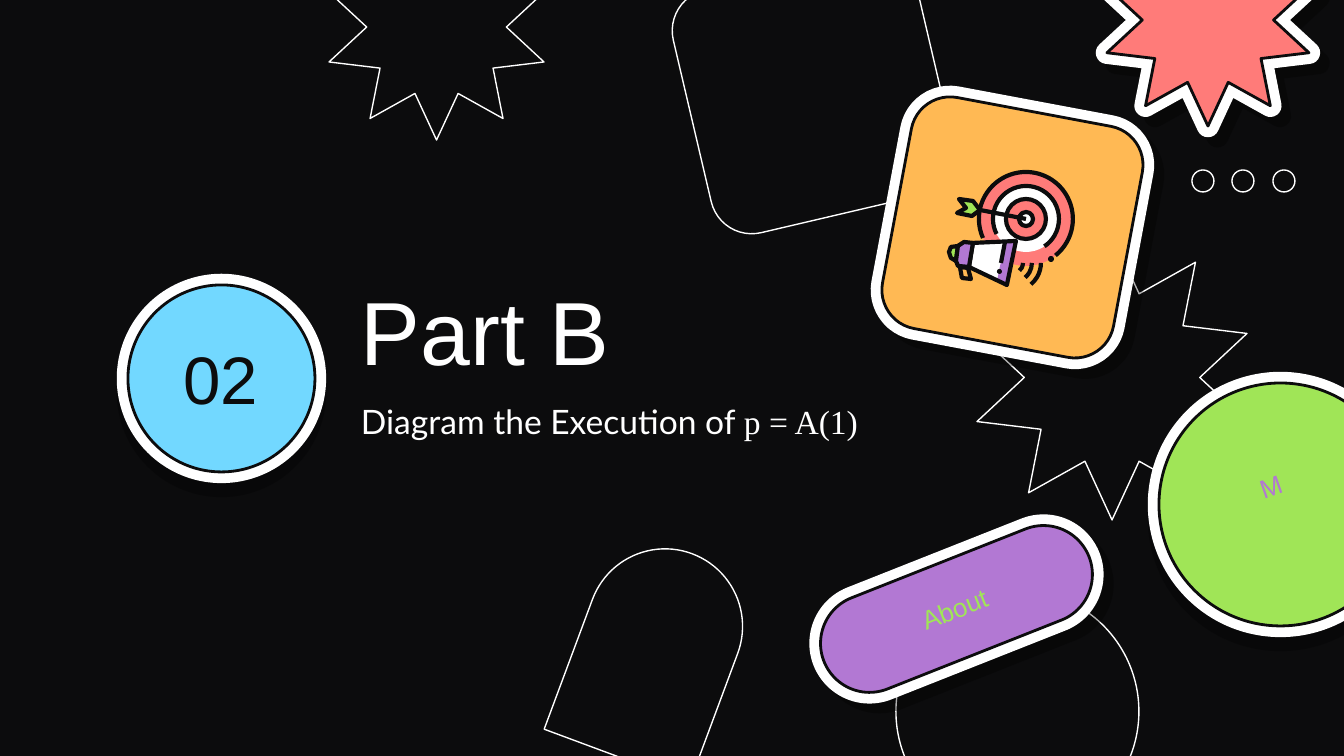
from lxml import etree
from pptx import Presentation
from pptx import util as u
from pptx.dml.color import RGBColor
from pptx.enum import shapes, text
from pptx.oxml.ns import qn

PX = 914400 / 134.4
THEME = {
    "ink": "0C0C0D", "white": "FFFFFF", "blue": "72D8FF", "green": "A0E557",
    "purple": "B278D3", "red": "FF7B79", "orange": "FFB954",
    "title": 48, "number": 36, "subtitle": 18, "label": 14,
    "hair": 0.75, "edge": 1.5, "stroke": 2.25, "border": 12,
    "sans": "Arial", "body": "Lato", "code": "Times New Roman",
}
M = shapes.MSO_SHAPE
STAR = (0.309, 1.05146)


def color(name):
    return RGBColor.from_string(THEME[name])


def style(sp, fill, line, width="hair", rot=0, adj=()):
    sp.shadow.inherit = False
    sp.rotation = rot
    for i, value in enumerate(adj):
        sp.adjustments[i] = value
    if fill:
        sp.fill.solid()
        sp.fill.fore_color.rgb = color(fill)
    else:
        sp.fill.background()
    if line:
        sp.line.color.rgb = color(line)
        sp.line.width = u.Pt(THEME[width])
    else:
        sp.line.fill.background()
    return sp


prs = Presentation()
prs.slide_width, prs.slide_height = int(1344 * PX), int(756 * PX)
s = prs.slides.add_slide(prs.slide_layouts[6])
s.background.fill.solid()
s.background.fill.fore_color.rgb = color("ink")

outlines = [
    (M.STAR_10_POINT, (977, 235, 270, 285), 180, STAR),
    (M.OVAL, (896, 590, 243, 243), 0, ()),
    (M.ROUNDED_RECTANGLE, (689, -32, 249, 249), 166.8, (0.167,)),
    (M.ROUND_2_SAME_RECTANGLE, (577, 547, 155, 216), 20.4, (0.5, 0)),
    (M.STAR_10_POINT, (329, -86, 215, 226), 180, STAR),
]
outlines += [(M.OVAL, (1192 + i * 81 // 2, 170, 22, 22), 0, ()) for i in range(3)]
for kind, box, rot, adj in outlines:
    sp = s.shapes.add_shape(kind, *[int(v * PX) for v in box])
    style(sp, None, "white", "hair", rot, adj)

stickers = [
    (M.OVAL, (128, 285, 187, 187), 0, (), "blue", 29, 90),
    (M.OVAL, (1159, 383, 243, 243), 340.4, (), "green", 29, 90),
    (M.ROUNDED_RECTANGLE, (814, 560, 285, 98), 338.4, (0.5,), "purple", 31, 44),
    (M.STAR_10_POINT, (1107, -86, 202, 212), 0, STAR, "red", 31, 47),
    (M.ROUNDED_RECTANGLE, (895, 110, 235, 235), 10.6, (0.167,), "orange", 31, 44),
]
for kind, box, rot, adj, fill, alpha, angle in stickers:
    for face, line, width in ((("white", "white", "border")), (fill, "ink", "edge")):
        sp = s.shapes.add_shape(kind, *[int(v * PX) for v in box])
        style(sp, face, line, width, rot, adj)
        if width == "border":
            etree.SubElement(sp.line._get_or_add_ln(), qn("a:round"))
            effects = sp._element.spPr.find(qn("a:effectLst"))
            shadow = etree.SubElement(effects, qn("a:outerShdw"), dist=str(u.Pt(7.5)),
                                      dir=str(angle * 60000), algn="bl", rotWithShape="0")
            black = etree.SubElement(shadow, qn("a:srgbClr"), val="000000")
            etree.SubElement(black, qn("a:alpha"), val=str(alpha * 1000))

target, mouth = (1026, 219), (1013, 263)
discs = [
    (target, 47, "red", None), (target, 33, "white", None),
    (target, 20, "red", "ink"), (target, 7, "white", "ink"),
    ((1051, 259), 3, "ink", None),
]
for (x, y), radius, fill, line in discs:
    box = x - radius, y - radius, 2 * radius, 2 * radius
    style(s.shapes.add_shape(M.OVAL, *[int(v * PX) for v in box]), fill, line, "stroke")

arcs = [(target, 47, 156, 51), (target, 33, 153, 56)]
arcs += [(mouth, radius, -28, 50) for radius in (28, 19, 10)]
for (x, y), radius, start, end in arcs:
    box = x - radius, y - radius, 2 * radius, 2 * radius
    sp = s.shapes.add_shape(M.ARC, *[int(v * PX) for v in box])
    style(sp, None, "ink", "stroke", 0, (start * 0.6, end * 0.6))

horn = [(1016, 241), (973, 243), (969, 267), (1007, 285)]
polygons = [
    ([(958, 246), (951, 247), (949, 252), (951, 258), (956, 261)], "green", "ink"),
    ([(960, 267), (962, 278), (971, 279), (968, 268)], "orange", "ink"),
    (horn, "white", None),
    ([(1016, 241), (1005, 242), (997, 281), (1007, 285)], "purple", None),
    (horn, None, "ink"),
    ([(964, 242), (973, 243), (969, 267), (958, 266), (956, 261), (958, 246)], "purple", "ink"),
    ([(959, 199), (966, 208), (957, 213), (972, 216), (980, 210), (973, 201)], "green", "ink"),
]
for points, fill, line in polygons:
    fb = s.shapes.build_freeform(*points[0], scale=PX)
    fb.add_line_segments(points[1:], close=True)
    style(fb.convert_to_shape(), fill, line, "stroke")

for ends in ((980, 210, *target), (1005, 242, 1001, 263)):
    sp = s.shapes.add_connector(shapes.MSO_CONNECTOR.STRAIGHT, *[int(v * PX) for v in ends])
    sp.line.color.rgb = color("ink")
    sp.line.width = u.Pt(THEME["stroke"])
    etree.SubElement(sp._element.spPr, qn("a:effectLst"))
sp = s.shapes.add_shape(M.OVAL, *[int(v * PX) for v in (997, 269, 5, 5)])
style(sp, "ink", None)

L, C = text.PP_ALIGN.LEFT, text.PP_ALIGN.CENTER
TOP, MID = text.MSO_ANCHOR.TOP, text.MSO_ANCHOR.MIDDLE
labels = [
    ((348, 263, 516, 136), 0, 13, TOP, L, "title", "white", [("Part B", "sans")]),
    ((148, 325, 146, 105), 0, 13, MID, C, "number", "ink", [("02", "sans")]),
    ((348, 388, 559, 105), 0, 13, TOP, L, "subtitle", "white",
     [("Diagram the Execution of ", "body"), ("p = A(1)", "code")]),
    ((1219, 462, 117, 85), 340.4, 7, TOP, C, "label", "purple", [("M", "sans")]),
    ((849, 586, 211, 46), 338.4, 7, TOP, C, "label", "green", [("About", "sans")]),
]
for box, rot, inset, anchor, align, size, ink, runs in labels:
    sp = s.shapes.add_textbox(*[int(v * PX) for v in box])
    sp.rotation = rot
    tf = sp.text_frame
    tf.word_wrap = True
    tf.vertical_anchor = anchor
    tf.margin_top = tf.margin_bottom = int(inset * PX)
    tf.margin_left = tf.margin_right = int(13 * PX)
    p = tf.paragraphs[0]
    p.alignment = align
    p.font.size = u.Pt(THEME[size])
    p.font.color.rgb = color(ink)
    for words, face in runs:
        r = p.add_run()
        r.text = words
        r.font.name = THEME[face]

prs.save("out.pptx")
